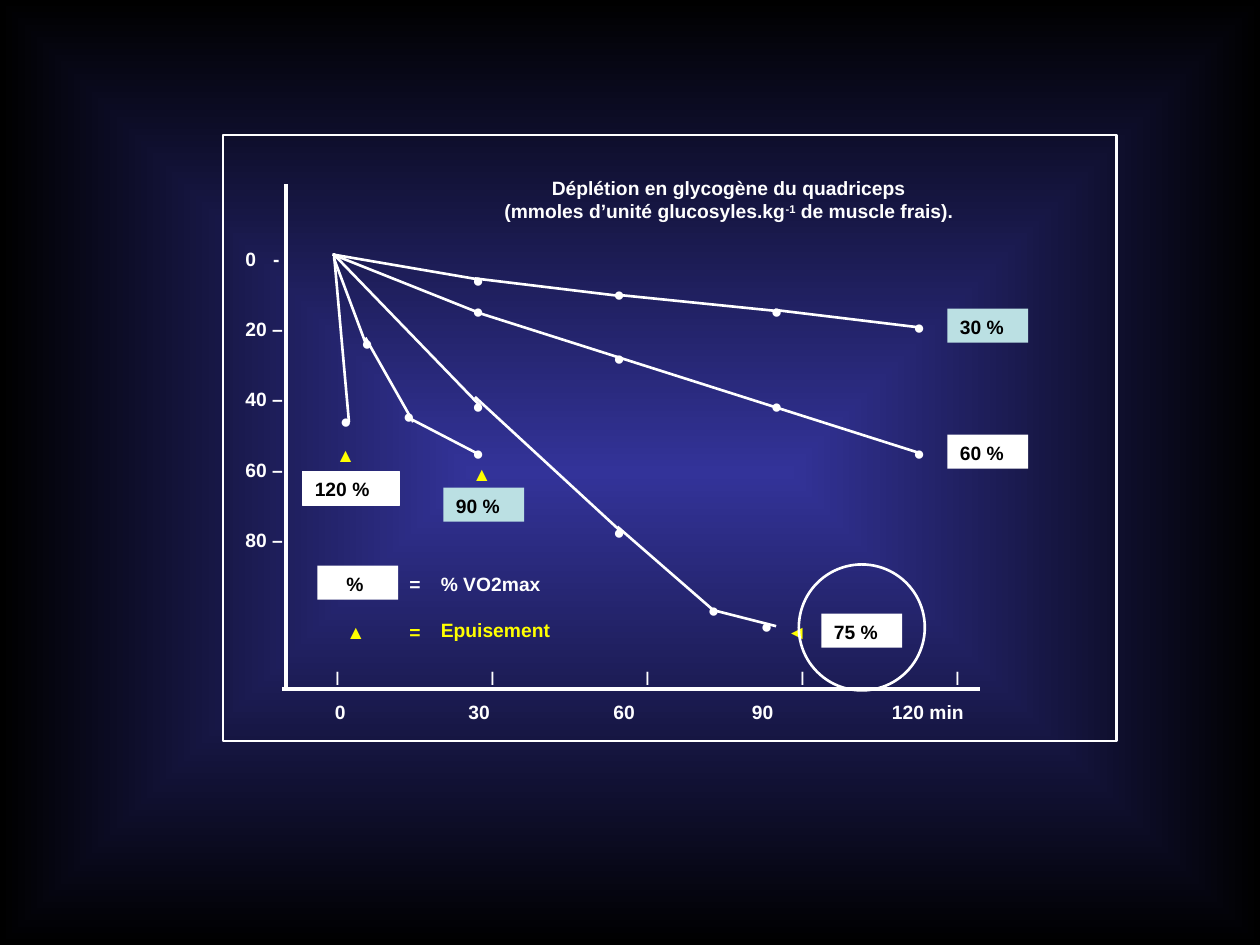
from dataclasses import dataclass

from lxml.etree import SubElement
from pptx import Presentation
from pptx.dml.color import RGBColor
from pptx.enum.shapes import MSO_CONNECTOR, MSO_SHAPE
from pptx.enum.text import MSO_ANCHOR, MSO_AUTO_SIZE, PP_ALIGN
from pptx.oxml.ns import qn
from pptx.util import Inches, Pt


@dataclass(frozen=True)
class Theme:
    font: str = "Arial"
    size: Pt = Pt(11)
    white: RGBColor = RGBColor(0xFF, 0xFF, 0xFF)
    black: RGBColor = RGBColor(0, 0, 0)
    yellow: RGBColor = RGBColor(0xFF, 0xFF, 0)
    pale: RGBColor = RGBColor(0xBB, 0xE0, 0xE3)
    glow: RGBColor = RGBColor(0x33, 0x33, 0x99)
    axis: Pt = Pt(2.25)
    curve: Pt = Pt(1.5)


theme = Theme()


def write(box, lines, color, bold=True, tabs=(), gap=0):
    """Fill a shape with one paragraph per line; gap is in points, tabs in inches."""
    frame = box.text_frame
    frame.word_wrap = True
    frame.auto_size = MSO_AUTO_SIZE.NONE
    frame.vertical_anchor = MSO_ANCHOR.TOP
    for number, line in enumerate(lines):
        para = frame.add_paragraph() if number else frame.paragraphs[0]
        para.text = line
        para.alignment = PP_ALIGN.LEFT
        if number:
            para.space_before = Pt(gap)
        if tabs:
            stops = SubElement(para._p.get_or_add_pPr(), qn("a:tabLst"))
            for stop in tabs:
                SubElement(stops, qn("a:tab"), pos=str(Inches(stop)), algn="l")
        para.font.name, para.font.size = theme.font, theme.size
        para.font.bold, para.font.color.rgb = bold, color


def draw_line(start, end, width):
    line = page.shapes.add_connector(
        MSO_CONNECTOR.STRAIGHT, *(Inches(v) for v in (*start, *end)))
    line.line.color.rgb, line.line.width = theme.white, width
    SubElement(line._element.spPr, qn("a:effectLst"))


deck = Presentation()
deck.slide_width, deck.slide_height = Inches(10), Inches(7.5)
page = deck.slides.add_slide(deck.slide_layouts[5])

# Background glowing from the centre
fill = page.background.fill
fill.gradient()
for stop, color in zip(fill.gradient_stops, (theme.glow, theme.black)):
    stop.color.rgb = color
gradient = page._element.find(".//" + qn("a:gradFill"))
gradient.remove(gradient.find(qn("a:lin")))
shade = SubElement(gradient, qn("a:path"), path="rect")
SubElement(shade, qn("a:fillToRect"), l="50000", t="50000", r="50000", b="50000")

# Title
title = page.shapes.title
title.left, title.top, title.width, title.height = (
    Inches(v) for v in (3.4, 1.35, 4.77, 0.53))
write(title, ["Déplétion en glycogène du quadriceps",
              "(mmoles d’unité glucosyles.kg"], theme.white)
unit = title.text_frame.paragraphs[1]
exponent = unit.add_run()
exponent.text = "-1"
exponent.font._element.set("baseline", "30000")
unit.add_run().text = " de muscle frais)."
for para in title.text_frame.paragraphs:
    para.alignment = PP_ALIGN.CENTER

# Axes
draw_line((2.27, 1.46), (2.27, 5.47), theme.axis)
draw_line((2.24, 5.47), (7.78, 5.47), theme.axis)

# Curves, as segments for each intensity
curves = {
    "30 %": [((2.64, 2.02), (3.81, 2.22)), ((3.77, 2.21), (4.93, 2.35)),
             ((4.9, 2.34), (6.18, 2.47)), ((6.15, 2.46), (7.31, 2.6))],
    "60 %": [((2.64, 2.02), (3.82, 2.49)), ((3.82, 2.49), (7.28, 3.59))],
    "75 %": [((2.65, 2.02), (3.81, 3.22)), ((3.77, 3.15), (4.93, 4.22)),
             ((4.9, 4.18), (5.67, 4.85)), ((5.65, 4.84), (6.16, 4.97))],
    "90 %": [((2.65, 2.05), (2.9, 2.72)), ((2.9, 2.68), (3.28, 3.35)),
             ((3.27, 3.33), (3.79, 3.6))],
    "120 %": [((2.65, 2.01), (2.77, 3.35))],
}
for segments in curves.values():
    for start, end in segments:
        draw_line(start, end, theme.curve)

# Axis labels, legend text, data points and exhaustion marks
points = [
    (3.65, 2.08), (4.77, 2.19), (6.02, 2.33), (7.15, 2.45),
    (3.65, 2.33), (4.77, 2.7), (6.02, 3.08), (7.15, 3.45),
    (3.65, 3.08), (4.77, 4.08), (5.52, 4.7), (5.94, 4.83),
    (2.77, 2.58), (3.1, 3.16), (3.65, 3.45), (2.6, 3.2),
]
plain = {"bold": False}
texts = [
    (1.85, 1.91, 0.9, 4.28, ["0\t-", "20 –", "40 –", "60 –", "80 –"], theme.white,
     {"tabs": [0.22], "gap": 27}),
    (2.56, 5.51, 5.93, 0.4, ["0\t30\t60\t90\t120 min"], theme.white,
     {"tabs": [1.06, 2.21, 3.31, 4.42]}),
    (2.56, 5.24, 5.41, 0.4, ["\t".join("IIIII")], theme.white,
     {"bold": False, "tabs": [1.23 * step for step in range(1, 5)]}),
    (3.15, 4.49, 0.39, 0.27, ["="], theme.white, {}),
    (3.4, 4.49, 1.16, 0.27, ["% VO2max"], theme.white, {}),
    (3.15, 4.87, 0.39, 0.27, ["="], theme.yellow, {}),
    (3.4, 4.86, 1.29, 0.4, ["Epuisement"], theme.yellow, {}),
    (2.57, 3.47, 0.39, 0.27, ["▲"], theme.yellow, plain),
    (3.65, 3.62, 0.39, 0.27, ["▲"], theme.yellow, plain),
    (2.65, 4.87, 0.39, 0.27, ["▲"], theme.yellow, plain),
    (6.15, 4.87, 0.39, 0.27, ["◄"], theme.yellow, plain),
]
texts += [(x, y, 0.39, 0.27, ["●"], theme.white, plain) for x, y in points]
for *place, lines, color, options in texts:
    box = page.shapes.add_textbox(*(Inches(v) for v in place))
    write(box, lines, color, **options)

# Intensity tags and the legend key
tags = [
    ("30 %", 7.52, 2.45, 0.64, theme.pale),
    ("60 %", 7.52, 3.45, 0.64, theme.white),
    ("75 %", 6.52, 4.87, 0.64, theme.white),
    ("90 %", 3.52, 3.87, 0.64, theme.pale),
    ("120 %", 2.4, 3.74, 0.77, theme.white),
    ("%", 2.52, 4.49, 0.64, theme.white),
]
for label, x, y, width, color in tags:
    tag = page.shapes.add_shape(
        MSO_SHAPE.RECTANGLE, Inches(x), Inches(y), Inches(width), Inches(0.27))
    tag.shadow.inherit = False
    tag.fill.solid()
    tag.fill.fore_color.rgb = color
    tag.line.fill.background()
    write(tag, [label], theme.black)
    if label == "120 %":
        tag.line.color.rgb, tag.line.width = theme.white, Pt(0.75)
    elif label == "%":
        tag.text_frame.margin_left = Inches(0.23)

# Frame around the graph and ring around the 75 % tag
for kind, *place in [(MSO_SHAPE.RECTANGLE, 1.77, 1.07, 7.09, 4.81),
                     (MSO_SHAPE.OVAL, 6.34, 4.48, 1, 1)]:
    outline = page.shapes.add_shape(kind, *(Inches(v) for v in place))
    outline.shadow.inherit = False
    outline.fill.background()
    outline.line.color.rgb, outline.line.width = theme.white, theme.curve

deck.save("out.pptx")
